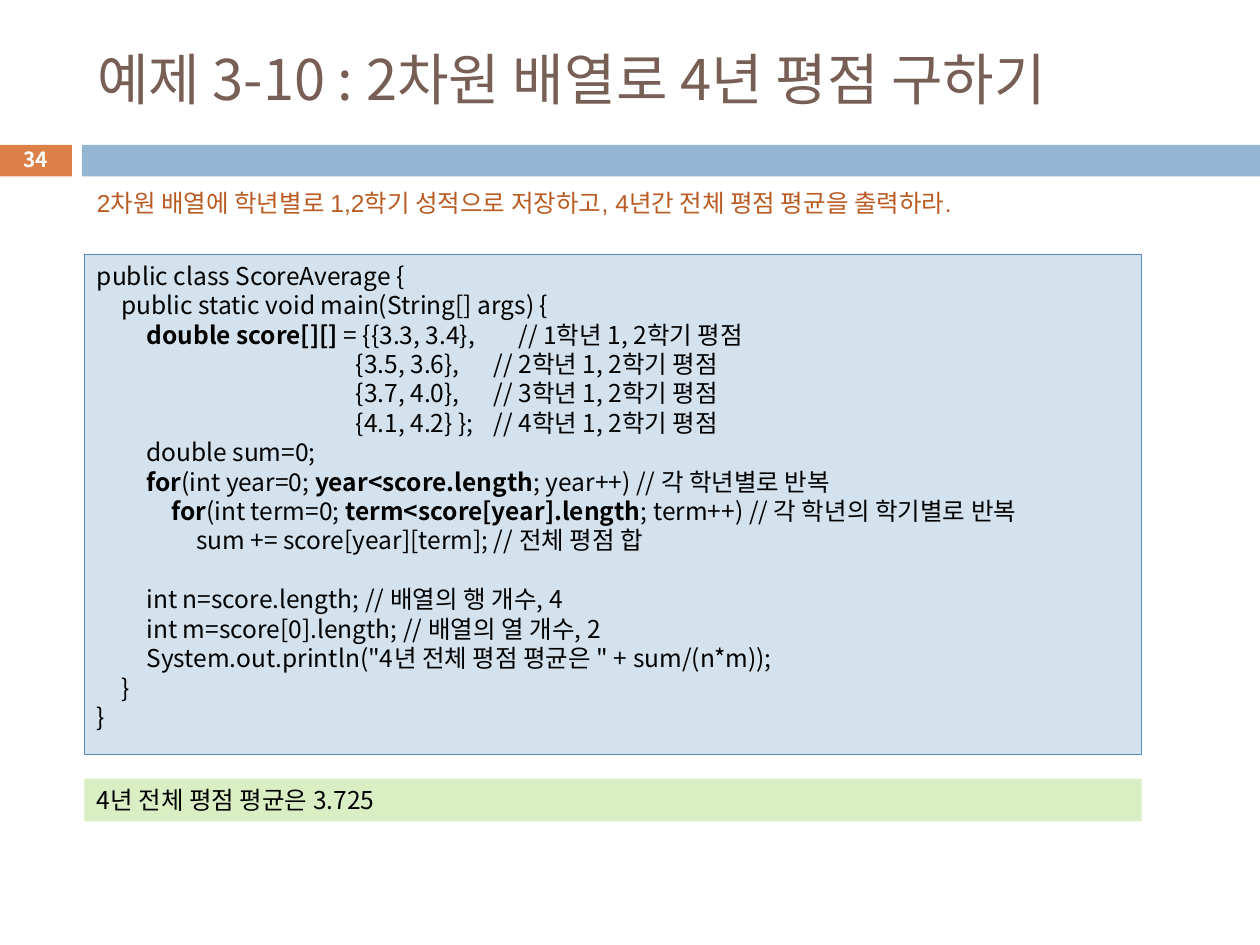
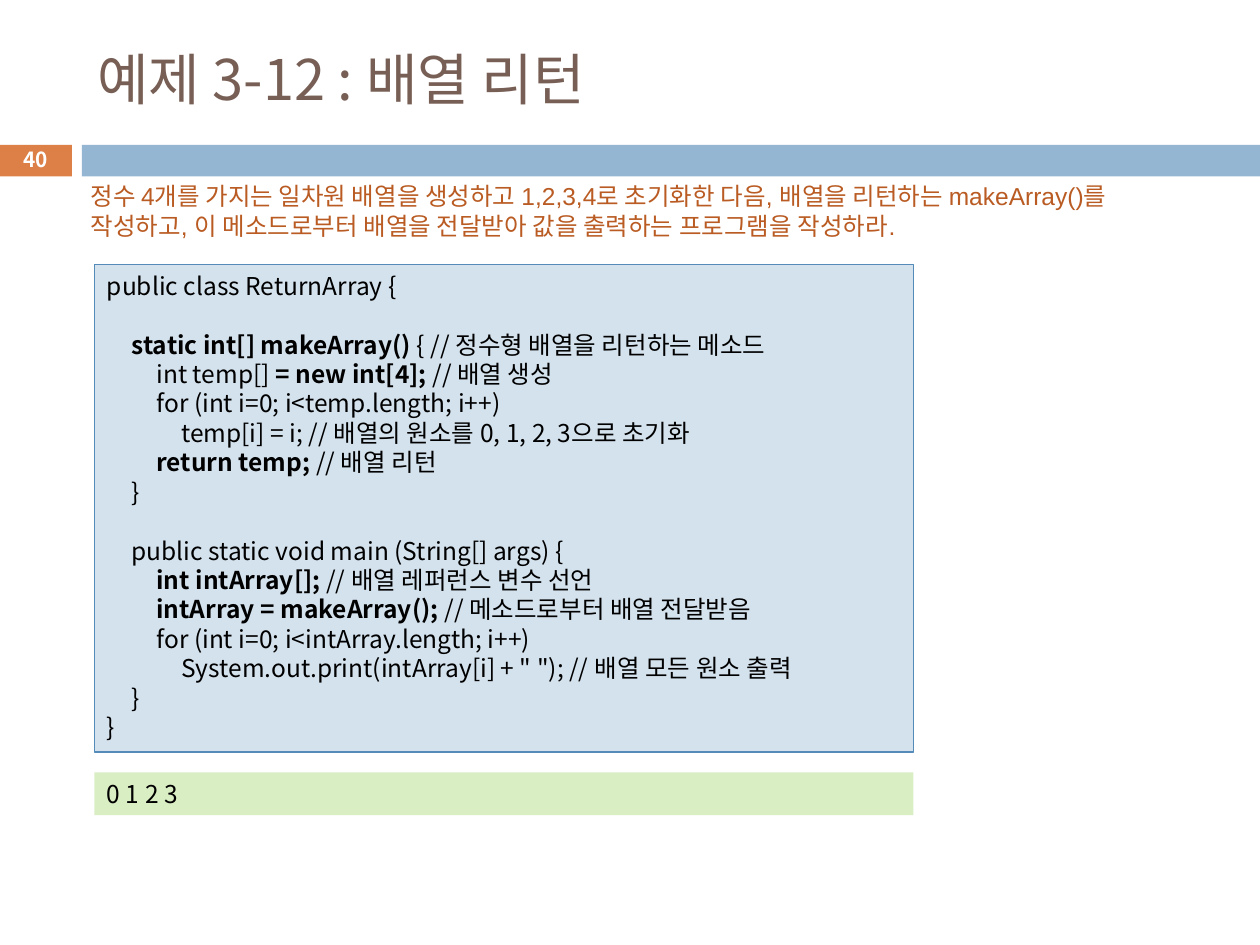
"""Build two Java array example slides with code panels and their output."""
from dataclasses import dataclass

from lxml.etree import SubElement
from pptx import Presentation
from pptx.dml.color import RGBColor
from pptx.enum.shapes import MSO_SHAPE
from pptx.enum.text import MSO_ANCHOR, MSO_AUTO_SIZE, PP_ALIGN
from pptx.oxml.ns import qn
from pptx.util import Inches, Pt

EXAMPLES = [
    {
        "number": "34",
        "title": "예제 3-10 : 2차원 배열로 4년 평점 구하기",
        "task": "2차원 배열에 학년별로 1,2학기 성적으로 저장하고, 4년간 전체 평점 평균을 출력하라.",
        "task_area": (0.67, 1.44, 8.55, 0.34),
        "code_area": (0.67, 2.02, 8.39, 3.97),
        "output_top": 6.18,
        "output": "4년 전체 평점 평균은 3.725",
        "code": [
            "public class ScoreAverage {",
            "\tpublic static void main(String[] args) {",
            "\t\t**double score[][] **= {{3.3, 3.4},\t\t// 1학년 1, 2학기 평점",
            "\t\t\t\t\t\t\t\t\t\t  {3.5, 3.6},\t\t// 2학년 1, 2학기 평점",
            "\t\t\t\t\t\t\t\t\t\t  {3.7, 4.0},\t\t// 3학년 1, 2학기 평점",
            "\t\t\t\t\t\t\t\t\t\t  {4.1, 4.2} };\t// 4학년 1, 2학기 평점",
            "\t\tdouble sum=0;",
            "\t\t**for**(int year=0; **year<score.length**; year++) // 각 학년별로 반복",
            "\t\t\t**for**(int term=0; **term<score[year].length**; term++) // 각 학년의 학기별로 반복",
            "\t\t\t\tsum += score[year][term]; // 전체 평점 합",
            "",
            "\t\tint n=score.length; // 배열의 행 개수, 4",
            "\t\tint m=score[0].length; // 배열의 열 개수, 2",
            "\t\tSystem.out.println(\"4년 전체 평점 평균은 \" + sum/(n*m));",
            "\t}",
            "}",
        ],
    },
    {
        "number": "40",
        "title": "예제 3-12 : 배열 리턴",
        "task": "정수 4개를 가지는 일차원 배열을 생성하고 1,2,3,4로 초기화한 다음, 배열을 리턴하는 makeArray()를 "
                "작성하고, 이 메소드로부터 배열을 전달받아 값을 출력하는 프로그램을 작성하라.",
        "task_area": (0.62, 1.39, 8.71, 0.57),
        "code_area": (0.75, 2.1, 6.5, 3.87),
        "output_top": 6.13,
        "output": "0 1 2 3",
        "code": [
            "public class ReturnArray {",
            "",
            "\t**static int[] makeArray() **{ // 정수형 배열을 리턴하는 메소드",
            "\t\tint temp[] **= new int[4]; **// 배열 생성",
            "\t\tfor (int i=0; i<temp.length; i++)",
            "\t\t\ttemp[i] = i; // 배열의 원소를 0, 1, 2, 3으로 초기화",
            "\t\t**return temp; **// 배열 리턴",
            "\t}",
            "",
            "\tpublic static void main (String[] args) {",
            "\t\t**int intArray[]; **// 배열 레퍼런스 변수 선언",
            "\t\t**intArray = makeArray(); **// 메소드로부터 배열 전달받음",
            "\t\tfor (int i=0; i<intArray.length; i++)",
            "\t\t\tSystem.out.print(intArray[i] + \" \"); // 배열 모든 원소 출력",
            "\t}",
            "}",
        ],
    },
]


@dataclass(frozen=True)
class Theme:
    title: str = "775F55"
    task: str = "B95B22"
    code: str = "000000"
    number: str = "FFFFFF"
    number_band: str = "DD8047"
    wide_band: str = "94B6D2"
    code_fill: str = "D4E2ED"
    code_line: str = "558BB8"
    output_fill: str = "DAEEC4"
    font: str = "Noto Sans CJK KR"
    task_font: str = "Arial"
    title_size: float = 32
    body_size: float = 14
    number_size: float = 11.9
    line_pitch: float = 16.8
    tab_width: float = 0.5 / 2.54
    tab_count: int = 20


THEME = Theme()


def inches(area):
    return [Inches(length) for length in area]


def add_span(para, text, size, color, font=THEME.font, bold=False):
    span = para.add_run()
    span.text = text
    span.font.size = Pt(size)
    span.font.bold = bold
    span.font.name = font
    span.font.color.rgb = RGBColor.from_string(color)
    SubElement(span.font._element, qn("a:ea")).set("typeface", THEME.font)


def add_panel(page, area, fill, line=None):
    panel = page.shapes.add_shape(MSO_SHAPE.RECTANGLE, *inches(area))
    panel.shadow.inherit = False
    panel.fill.solid()
    panel.fill.fore_color.rgb = RGBColor.from_string(fill)
    if line:
        panel.line.color.rgb = RGBColor.from_string(line)
        panel.line.width = Pt(0.75)
    else:
        panel.line.fill.background()
    return panel


def add_text_box(page, area):
    box = page.shapes.add_textbox(*inches(area))
    box.text_frame.word_wrap = True
    return box


def add_tab_stops(para):
    tabs = SubElement(para._p.get_or_add_pPr(), qn("a:tabLst"))
    for step in range(1, THEME.tab_count + 1):
        stop = SubElement(tabs, qn("a:tab"))
        stop.set("pos", str(Inches(step * THEME.tab_width)))
        stop.set("algn", "l")


def write_lines(box, lines, color=THEME.code, font=THEME.font):
    """Write lines whose bold parts stand between double asterisks."""
    frame = box.text_frame
    frame.vertical_anchor = MSO_ANCHOR.TOP
    para, gap = frame.paragraphs[0], 0
    for index, line in enumerate(lines):
        if not line:
            gap += THEME.line_pitch
            continue
        if index:
            para = frame.add_paragraph()
        para.alignment = PP_ALIGN.LEFT
        if "\t" in line:
            add_tab_stops(para)
        para.line_spacing = Pt(THEME.line_pitch)
        para.space_before = Pt(gap)
        gap = 0
        for order, part in enumerate(line.split("**")):
            if part:
                add_span(para, part, THEME.body_size, color, font, order % 2 == 1)


def write_title(page, text):
    title = page.shapes.title
    title.left, title.top, title.width, title.height = inches((0.67, 0.25, 8.92, 0.74))
    frame = title.text_frame
    frame.auto_size = MSO_AUTO_SIZE.NONE
    frame.vertical_anchor = MSO_ANCHOR.MIDDLE
    para = frame.paragraphs[0]
    para.alignment = PP_ALIGN.LEFT
    add_span(para, text, THEME.title_size, THEME.title)


def add_bands(page, number):
    add_panel(page, (-0.01, 1.15, 0.58, 0.25), THEME.number_band)
    add_panel(page, (0.65, 1.15, 9.35, 0.25), THEME.wide_band)
    box = add_text_box(page, (-0.01, 1.13, 0.58, 0.27))
    box.text_frame.vertical_anchor = MSO_ANCHOR.MIDDLE
    para = box.text_frame.paragraphs[0]
    para.alignment = PP_ALIGN.CENTER
    add_span(para, number, THEME.number_size, THEME.number, bold=True)


def add_example(deck, example):
    page = deck.slides.add_slide(deck.slide_layouts[5])
    write_title(page, example["title"])
    add_bands(page, example["number"])
    left, _, width, _ = example["code_area"]
    code = add_panel(page, example["code_area"], THEME.code_fill, THEME.code_line)
    write_lines(code, example["code"])
    task = add_text_box(page, example["task_area"])
    write_lines(task, [example["task"]], THEME.task, THEME.task_font)
    output = add_panel(page, (left, example["output_top"], width, 0.34), THEME.output_fill)
    write_lines(output, [example["output"]])


def main():
    deck = Presentation()
    deck.slide_width, deck.slide_height = Inches(10), Inches(7.5)
    for example in EXAMPLES:
        add_example(deck, example)
    deck.save("out.pptx")


if __name__ == "__main__":
    main()
